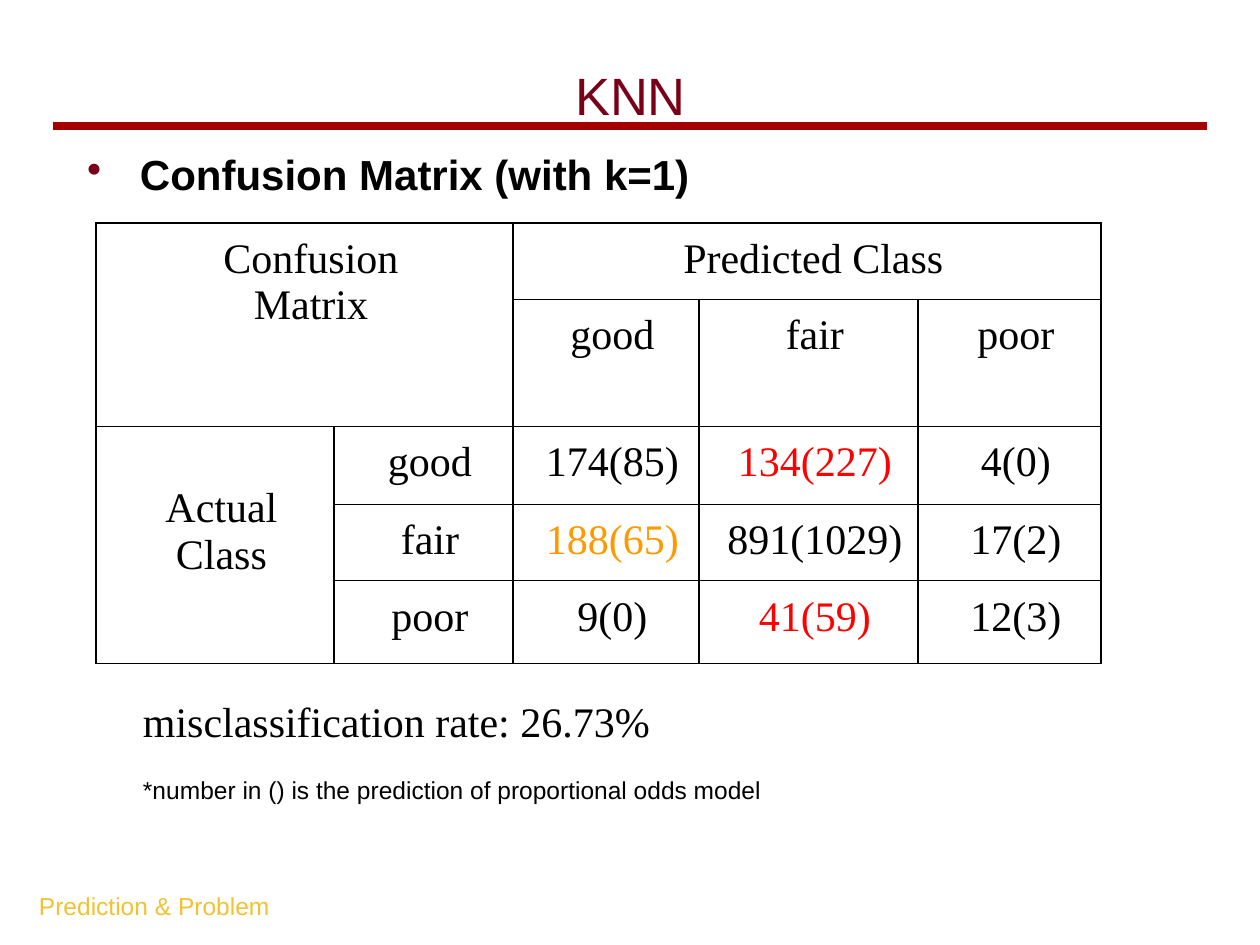
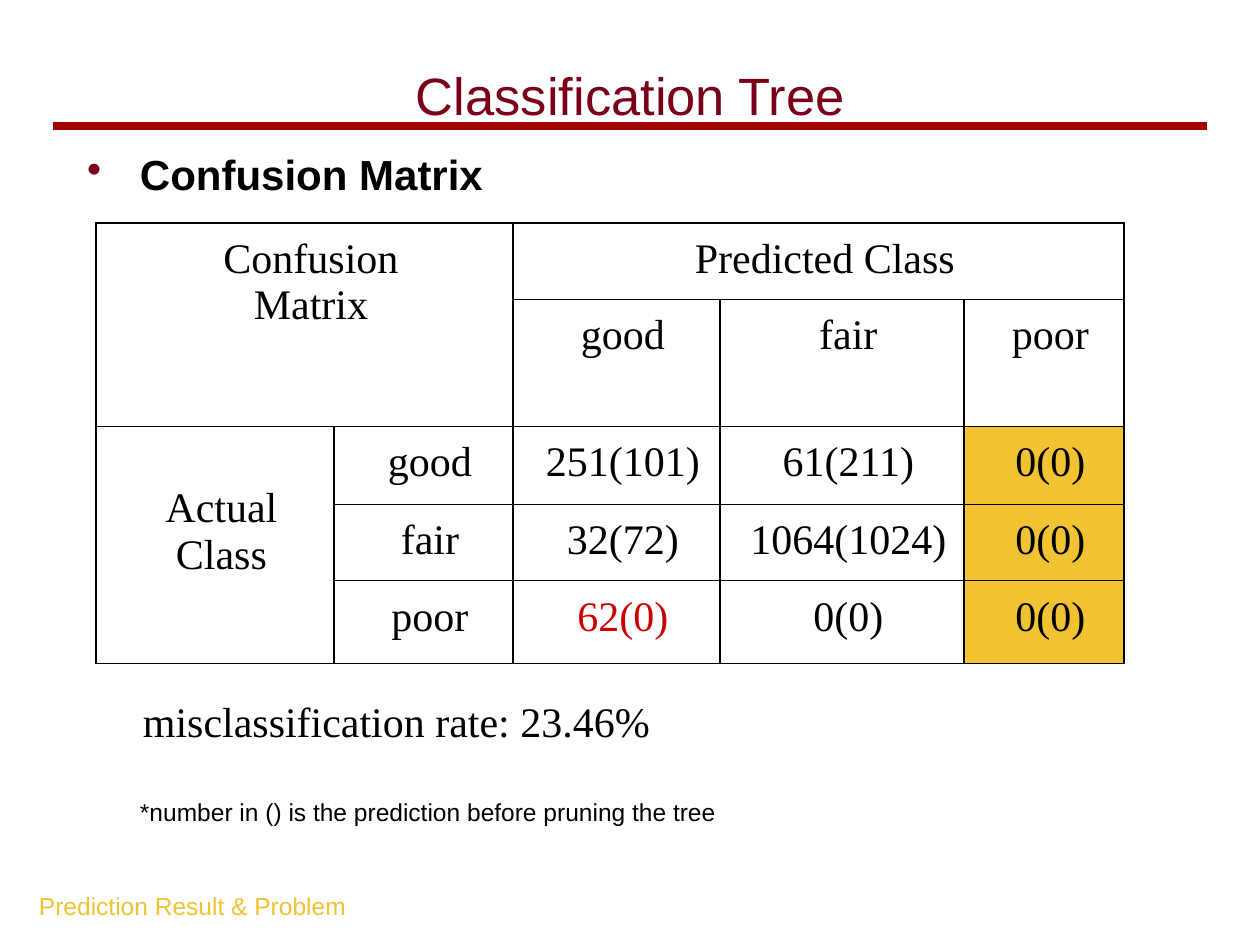
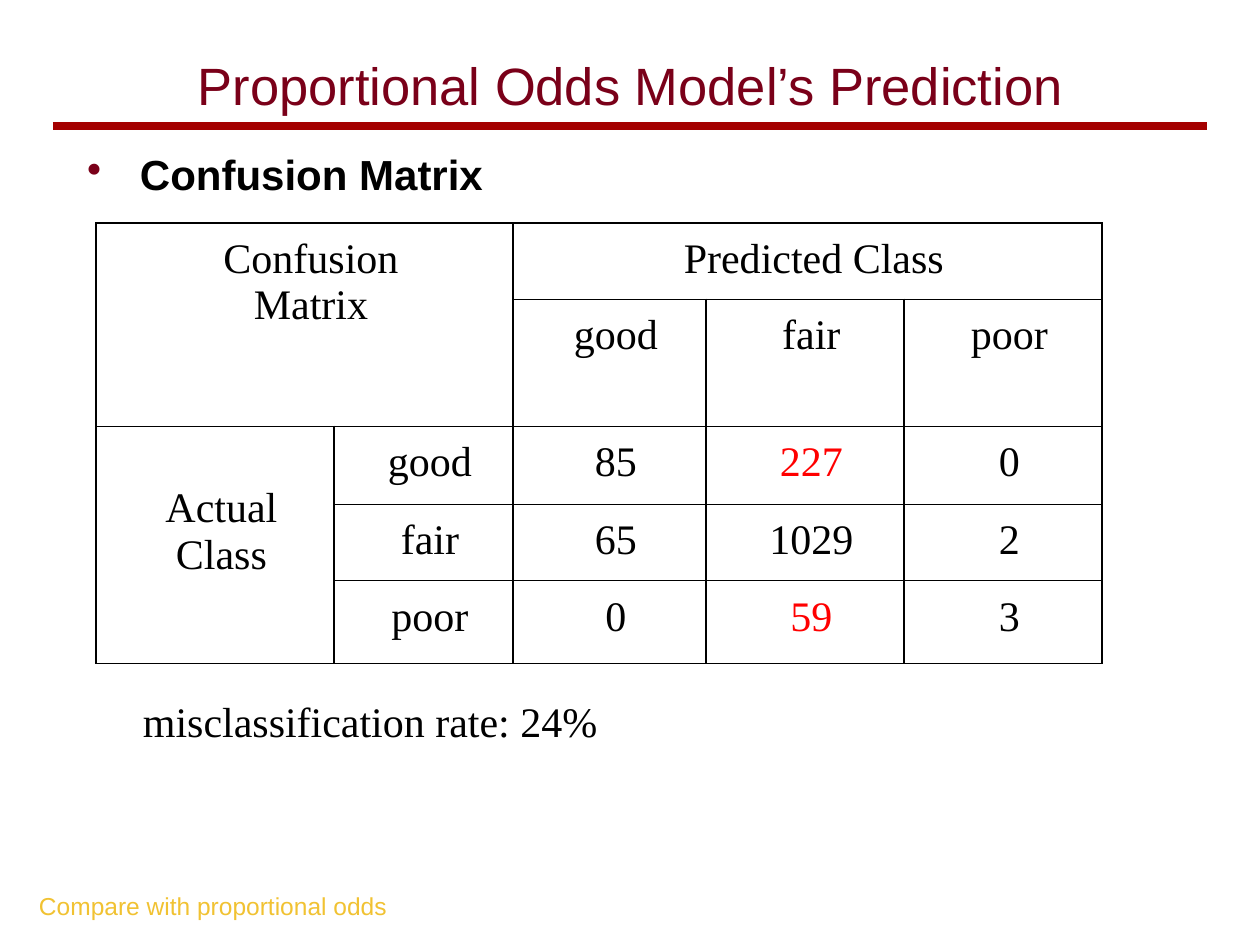
from dataclasses import dataclass

from lxml import etree
from pptx import Presentation
from pptx.dml.color import RGBColor
from pptx.enum.shapes import MSO_CONNECTOR
from pptx.enum.text import MSO_ANCHOR, PP_ALIGN
from pptx.oxml.ns import qn
from pptx.util import Pt

CENTER, LEFT = PP_ALIGN.CENTER, PP_ALIGN.LEFT
TOP, MIDDLE = MSO_ANCHOR.TOP, MSO_ANCHOR.MIDDLE
STRAIGHT = MSO_CONNECTOR.STRAIGHT
EMU_PER_PX = 914400 / 126
BLANK_LAYOUT = 6


@dataclass(frozen=True)
class Theme:
    sans: str = "Arial"
    serif: str = "Times New Roman"
    black: str = "000000"
    maroon: str = "7A0019"
    rule: str = "A40000"
    gold: str = "F1C232"
    red: str = "FF0000"
    dark_red: str = "CC0000"
    orange: str = "FF9900"
    title_size: int = 30
    body_size: int = 24
    small_size: int = 14
    rule_width: float = 4.5
    border_width: int = 1


THEME = Theme()
INSET = 13
CLASSES = ["good", "fair", "poor"]
LABEL_WIDTHS = [238, 179]
ROW_HEIGHTS = [73, 118, 78, 73, 83]
TABLE_ORIGIN = (96, 223)
TITLE_BOX = (53, 21, 1155, 147)
HEADING_BOX = (64, 136, 874, 87)
RATE_BOX = (102, 675, 932, 108)
FOOTER_BOX = (26, 878, 411, 50)


def px(length):
    return round(length * EMU_PER_PX)


def style_paragraph(paragraph, font_name, size, color, bold=False, align=LEFT):
    paragraph.alignment = align
    paragraph.font.name = font_name
    paragraph.font.size = Pt(size)
    paragraph.font.bold = bold
    paragraph.font.color.rgb = RGBColor.from_string(color)


def set_margins(target, horizontal, top=INSET, bottom=INSET):
    target.margin_left = target.margin_right = px(horizontal)
    target.margin_top, target.margin_bottom = px(top), px(bottom)


def add_text(slide, box, text, size, color=THEME.black, font_name=THEME.sans,
             bold=False, align=LEFT, anchor=TOP):
    frame = slide.shapes.add_textbox(*map(px, box)).text_frame
    frame.word_wrap = True
    frame.vertical_anchor = anchor
    set_margins(frame, INSET)
    paragraph = frame.paragraphs[0]
    paragraph.text = text
    style_paragraph(paragraph, font_name, size, color, bold, align)
    return paragraph


def set_indent(paragraph, left, first):
    properties = paragraph._p.get_or_add_pPr()
    properties.set("marL", str(px(left)))
    properties.set("indent", str(px(first)))
    return properties


def add_color(parent, color):
    etree.SubElement(parent, qn("a:srgbClr"), val=color)


def add_header(slide, title, title_shift):
    rule = slide.shapes.add_connector(STRAIGHT, px(53), px(126), px(1207), px(126))
    rule.line.color.rgb = RGBColor.from_string(THEME.rule)
    rule.line.width = Pt(THEME.rule_width)
    etree.SubElement(rule._element.spPr, qn("a:effectLst"))
    left, top, width, height = TITLE_BOX
    add_text(slide, (left, top + title_shift, width, height), title,
             THEME.title_size, THEME.maroon, align=CENTER, anchor=MIDDLE)


def add_heading(slide, box, text):
    paragraph = add_text(slide, box, text, THEME.body_size, bold=True)
    paragraph.space_before = Pt(4.8)
    properties = set_indent(paragraph, 63, -53)
    add_color(etree.SubElement(properties, qn("a:buClr")), THEME.maroon)
    etree.SubElement(properties, qn("a:buChar"), char="•")


def add_rate(slide, box, rate):
    paragraph = add_text(slide, box, f"misclassification rate: {rate}",
                         THEME.body_size, font_name=THEME.serif)
    paragraph.line_spacing = 1.15
    set_indent(paragraph, 0, 28)


def style_cell(cell, color=THEME.black, fill=None):
    set_margins(cell, 9)
    cell.margin_left = px(22)
    for paragraph in cell.text_frame.paragraphs:
        style_paragraph(paragraph, THEME.serif, THEME.body_size, color, align=CENTER)
    properties = cell._tc.get_or_add_tcPr()
    for side in ("a:lnL", "a:lnR", "a:lnT", "a:lnB"):
        border = etree.SubElement(properties, qn(side), w=str(Pt(THEME.border_width)))
        add_color(etree.SubElement(border, qn("a:solidFill")), THEME.black)
    if fill:
        cell.fill.solid()
        cell.fill.fore_color.rgb = RGBColor.from_string(fill)
    else:
        cell.fill.background()


def add_confusion_matrix(slide, origin, class_widths, counts, colors, fills):
    widths = LABEL_WIDTHS + class_widths
    box = (*origin, sum(widths), sum(ROW_HEIGHTS))
    table = slide.shapes.add_table(len(ROW_HEIGHTS), len(widths), *map(px, box)).table
    table.first_row = table.horz_banding = False
    for column, width in zip(table.columns, widths):
        column.width = px(width)
    for row, height in zip(table.rows, ROW_HEIGHTS):
        row.height = px(height)

    table.cell(0, 0).merge(table.cell(1, 1))
    table.cell(0, 2).merge(table.cell(0, 4))
    table.cell(2, 0).merge(table.cell(4, 0))
    grid = [
        ["Confusion\nMatrix", "", "Predicted Class", "", ""],
        ["", "", *CLASSES],
        *(["", name, *values] for name, values in zip(CLASSES, counts)),
    ]
    grid[2][0] = "Actual\nClass"
    for row, texts in enumerate(grid):
        for column, text in enumerate(texts):
            cell = table.cell(row, column)
            cell.text = text
            place = (row - 2, column - 2)
            style_cell(cell, colors.get(place, THEME.black), fills.get(place))
    table.cell(2, 0).margin_top = px(59)


def add_matrix_slide(presentation, title, heading, class_widths, counts, rate, footer,
                     colors, fills=None, note=None, note_box=None, title_shift=0):
    slide = presentation.slides.add_slide(presentation.slide_layouts[BLANK_LAYOUT])
    add_header(slide, title, title_shift)
    add_heading(slide, HEADING_BOX, heading)
    add_confusion_matrix(slide, TABLE_ORIGIN, class_widths, counts, colors, fills or {})
    add_rate(slide, RATE_BOX, rate)
    add_text(slide, FOOTER_BOX, footer, THEME.small_size, THEME.gold)
    if note:
        add_text(slide, note_box, note, THEME.small_size)


def main():
    presentation = Presentation()
    presentation.slide_width, presentation.slide_height = px(1260), px(945)
    add_matrix_slide(
        presentation, "KNN", "Confusion Matrix (with k=1)", [186, 219, 183],
        [["174(85)", "134(227)", "4(0)"],
         ["188(65)", "891(1029)", "17(2)"],
         ["9(0)", "41(59)", "12(3)"]],
        "26.73%", "Prediction & Problem",
        colors={(0, 1): THEME.red, (1, 0): THEME.orange, (2, 1): THEME.red},
        note="*number in () is the prediction of proportional odds model",
        note_box=(130, 762, 895, 54),
    )
    add_matrix_slide(
        presentation, "Classification Tree", "Confusion Matrix", [207, 244, 160],
        [["251(101)", "61(211)", "0(0)"],
         ["32(72)", "1064(1024)", "0(0)"],
         ["62(0)", "0(0)", "0(0)"]],
        "23.46%", "Prediction Result & Problem",
        colors={(2, 0): THEME.dark_red},
        fills={(row, 2): THEME.gold for row in range(len(CLASSES))},
        note="*number in () is the prediction before pruning the tree",
        note_box=(127, 784, 895, 54),
    )
    add_matrix_slide(
        presentation, "Proportional Odds Model’s Prediction", "Confusion Matrix",
        [193, 198, 198],
        [["85", "227", "0"], ["65", "1029", "2"], ["0", "59", "3"]],
        "24%", "Compare with proportional odds",
        colors={(0, 1): THEME.red, (2, 1): THEME.red},
        title_shift=-10,
    )
    presentation.save("out.pptx")


if __name__ == "__main__":
    main()
